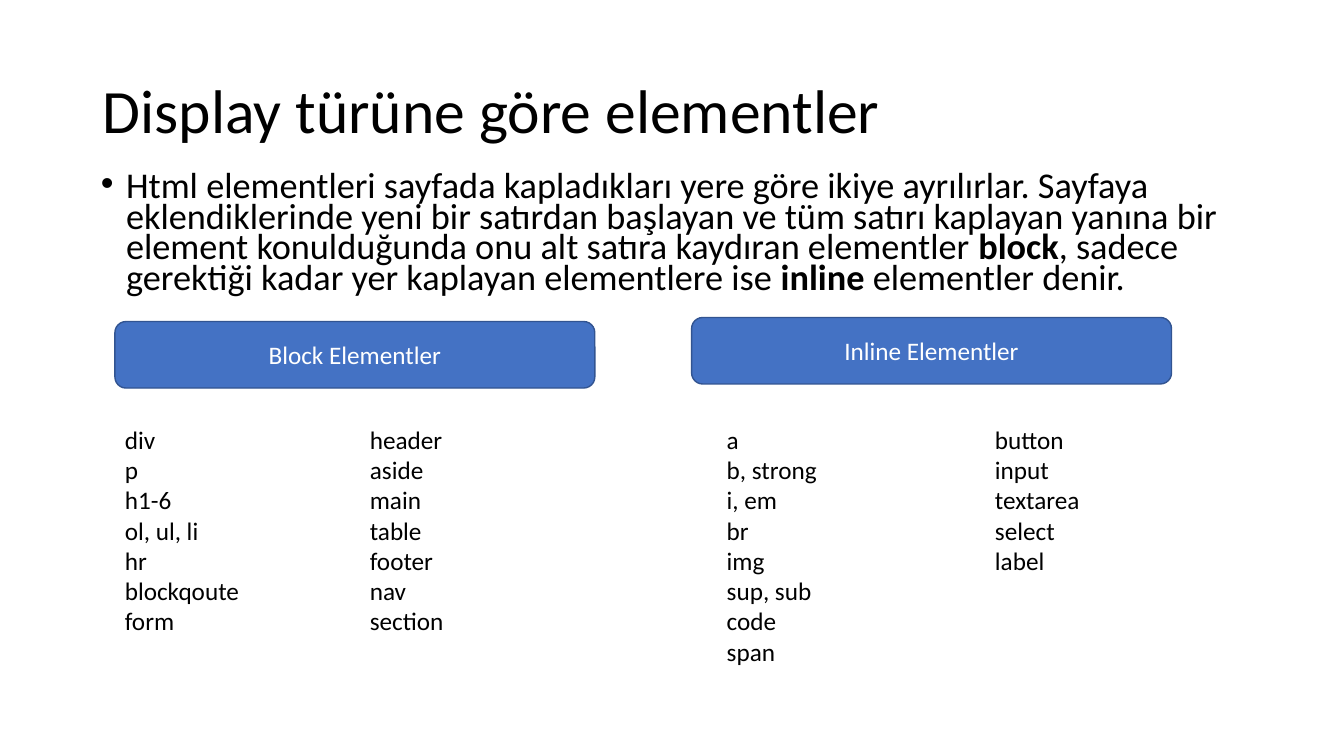
from lxml.etree import SubElement
from pptx import Presentation
from pptx.dml.color import RGBColor
from pptx.enum.shapes import MSO_SHAPE
from pptx.enum.text import MSO_ANCHOR, MSO_AUTO_SIZE, PP_ALIGN
from pptx.oxml.ns import qn
from pptx.util import Inches, Pt

COLORS = {"text": "000000", "header": "4472C4", "outline": "325491", "header_text": "FFFFFF"}

TITLE = "Display türüne göre elementler"
INTRO = [
    ("Html elementleri sayfada kapladıkları yere göre ikiye ayrılırlar. Sayfaya "
     "eklendiklerinde yeni bir satırdan başlayan ve tüm satırı kaplayan yanına bir "
     "element konulduğunda onu alt satıra kaydıran elementler ", False),
    ("block", True),
    (", sadece gerektiği kadar yer kaplayan elementlere ise ", False),
    ("inline", True),
    (" elementler denir.", False),
]
HEADERS = [("Block Elementler", 1.14, 3.19), ("Inline Elementler", 6.86, 3.15)]
COLUMNS = [
    (1.14, 2.22, ["div", "p", "h1-6", "ol, ul, li", "hr", "blockqoute", "form"]),
    (3.57, 2.52, ["header", "aside", "main", "table", "footer", "nav", "section"]),
    (7.11, 2.52, ["a", "b, strong", "i, em", "br", "img", "sup, sub", "code", "span"]),
    (9.77, 1.92, ["button", "input", "textarea", "select", "label"]),
]


def apply(target, **values):
    """Set each given value as an attribute of the target."""
    for name, value in values.items():
        setattr(target, name, value)


class ElementPage:
    """Holds the text style and the slide being filled."""

    font_name = "Calibri"

    def __init__(self, deck):
        self.page = deck.slides.add_slide(deck.slide_layouts[1])

    def style(self, font, size, color="text", bold=False):
        apply(font, name=self.font_name, size=Pt(size), bold=bold)
        font.color.rgb = RGBColor.from_string(COLORS[color])

    def place(self, box, left, top, width, height):
        apply(box, left=Inches(left), top=Inches(top),
              width=Inches(width), height=Inches(height))

    def title(self, text, *area):
        box = self.page.shapes.title
        self.place(box, *area)
        frame = box.text_frame
        frame.text = text
        apply(frame, auto_size=MSO_AUTO_SIZE.NONE, vertical_anchor=MSO_ANCHOR.MIDDLE)
        para = frame.paragraphs[0]
        apply(para, alignment=PP_ALIGN.LEFT, line_spacing=0.9)
        self.style(para.runs[0].font, 44)

    def body(self, spans, *area):
        box = self.page.placeholders[1]
        self.place(box, *area)
        box.text_frame.auto_size = MSO_AUTO_SIZE.NONE
        para = box.text_frame.paragraphs[0]
        properties = para._p.get_or_add_pPr()
        properties.set("marL", str(Inches(0.25)))
        properties.set("indent", str(Inches(-0.25)))
        SubElement(properties, qn("a:buFont"), typeface="Arial")
        SubElement(properties, qn("a:buChar"), char="•")
        apply(para, line_spacing=0.7, space_before=Pt(0))
        for text, bold in spans:
            span = para.add_run()
            span.text = text
            self.style(span.font, 25.9, bold=bold)

    def header(self, text, left, top):
        box = self.page.shapes.add_shape(
            MSO_SHAPE.ROUNDED_RECTANGLE, Inches(left), Inches(top), Inches(4.76), Inches(0.66))
        box.shadow.inherit = False
        box.fill.solid()
        box.fill.fore_color.rgb = RGBColor.from_string(COLORS["header"])
        box.line.color.rgb = RGBColor.from_string(COLORS["outline"])
        box.line.width = Pt(1)
        frame = box.text_frame
        frame.text = text
        frame.vertical_anchor = MSO_ANCHOR.MIDDLE
        para = frame.paragraphs[0]
        para.alignment = PP_ALIGN.CENTER
        self.style(para.runs[0].font, 18, "header_text")

    def column(self, left, height, names):
        box = self.page.shapes.add_textbox(
            Inches(left), Inches(4.16), Inches(2.1), Inches(height))
        frame = box.text_frame
        apply(frame, word_wrap=True, auto_size=MSO_AUTO_SIZE.SHAPE_TO_FIT_TEXT)
        frame.text = "\n".join(names)
        for para in frame.paragraphs:
            self.style(para.runs[0].font, 18)


def main():
    deck = Presentation()
    apply(deck, slide_width=Inches(13.33), slide_height=Inches(7.5))
    page = ElementPage(deck)
    page.title(TITLE, 0.92, 0.4, 11.5, 1.45)
    page.body(INTRO, 0.9, 1.68, 11.56, 1.35)
    for header in HEADERS:
        page.header(*header)
    for column in COLUMNS:
        page.column(*column)
    deck.save("out.pptx")


if __name__ == "__main__":
    main()
